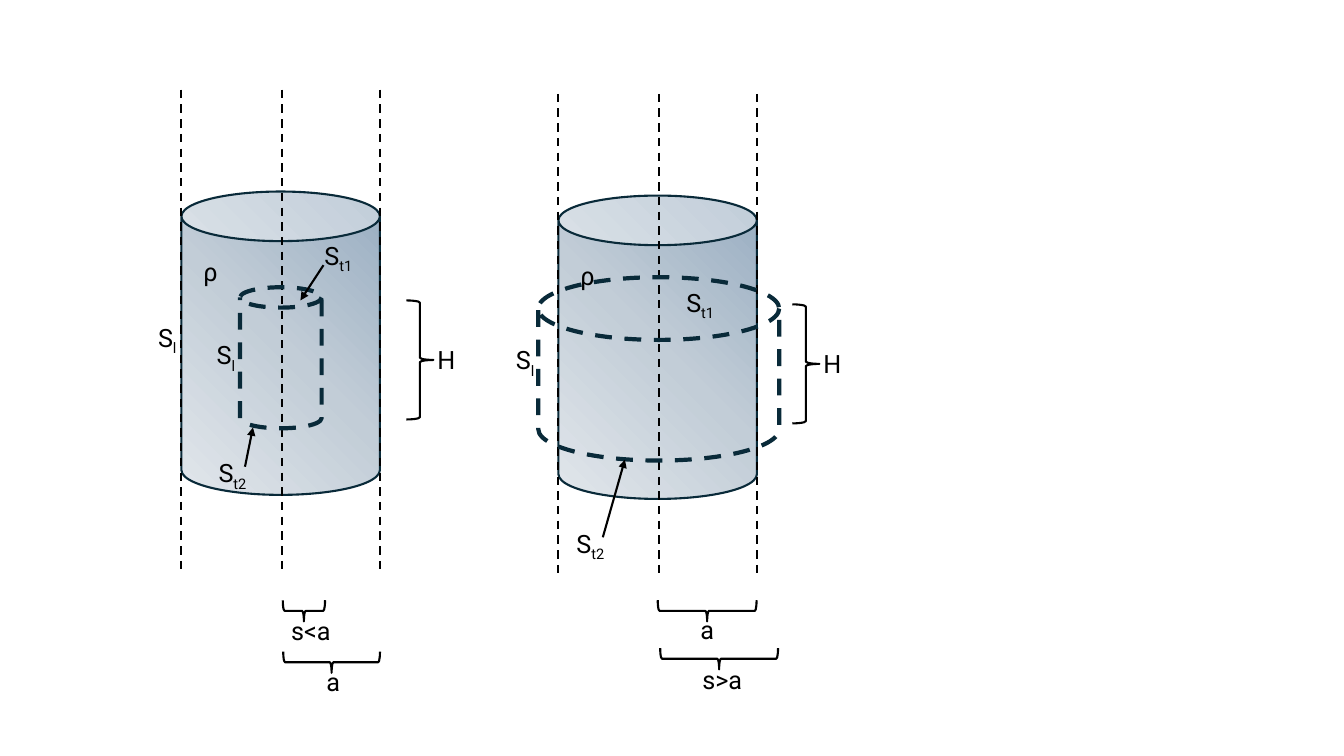
from copy import deepcopy

from lxml.etree import SubElement
from pptx import Presentation
from pptx.dml.color import RGBColor
from pptx.enum.dml import MSO_LINE
from pptx.enum.shapes import MSO_CONNECTOR, MSO_SHAPE
from pptx.enum.text import MSO_AUTO_SIZE
from pptx.oxml.ns import qn
from pptx.util import Pt

BLACK, NAVY = "000000", "092A39"
GRADIENT = [(0, "98ADC1"), (0.5, "C2CDD7"), (1, "E1E6EB")]
TEXT_FORMAT = {"name": "Roboto", "size": Pt(18)}


def color(value):
    return RGBColor.from_string(value)


def set_line(line, value, width, dashed=False):
    line.fill.solid()
    line.color.rgb = color(value)
    line.width = Pt(width)
    if dashed:
        line.dash_style = MSO_LINE.DASH


def add_outline(s, kind, x, y, w, h, value=BLACK, width=1.5, dashed=False):
    sp = s.shapes.add_shape(kind, Pt(x), Pt(y), Pt(w), Pt(h))
    sp.shadow.inherit = False
    sp.fill.background()
    set_line(sp.line, value, width, dashed)
    return sp


def add_label(s, text, x, y, w, subscript=""):
    box = s.shapes.add_textbox(Pt(x), Pt(y), Pt(w), Pt(28.8))
    tf = box.text_frame
    tf.word_wrap = True
    tf.auto_size = MSO_AUTO_SIZE.SHAPE_TO_FIT_TEXT
    p = tf.paragraphs[0]
    for part, baseline in ((text, None), (subscript, "-25000")):
        if not part:
            continue
        r = p.add_run()
        r.text = part
        for name, value in TEXT_FORMAT.items():
            setattr(r.font, name, value)
        r.font.color.rgb = color(BLACK)
        if baseline:
            r._r.get_or_add_rPr().set("baseline", baseline)


def add_line(s, x1, y1, x2, y2, dashed=False, arrow=False):
    c = s.shapes.add_connector(MSO_CONNECTOR.STRAIGHT, Pt(x1), Pt(y1), Pt(x2), Pt(y2))
    set_line(c.line, BLACK, 1.5, dashed)
    if arrow:
        SubElement(c.line._get_or_add_ln(), qn("a:tailEnd"), type="triangle")
    SubElement(c._element.spPr, qn("a:effectLst"))


def fill_gradient(sp):
    sp.fill.gradient()
    sp.fill.gradient_angle = 225
    stop_list = sp._element.spPr.find(".//" + qn("a:gsLst"))
    stop_list.append(deepcopy(stop_list[-1]))
    for stop, (position, value) in zip(sp.fill.gradient_stops, GRADIENT):
        stop.position = position
        stop.color.rgb = color(value)


def add_cylinder(s, x, y):
    """Charged cylinder with its density label, axis and side lines."""
    width = 141.8
    fill_gradient(add_outline(s, MSO_SHAPE.CAN, x, y, width, 216.7, NAVY))
    add_label(s, "ρ", x + 8.6, y + 42.5, 31.7)
    for dx in (0, width, 71.6):
        add_line(s, x + dx, y - 72.7, x + dx, y + 271.5, dashed=True)


def add_gauss_surface(s, x, y, w, h):
    return add_outline(s, MSO_SHAPE.CAN, x, y, w, h, NAVY, 3, True)


def add_height_brace(s, x, y):
    add_outline(s, MSO_SHAPE.LEFT_BRACE, x, y, 19.4, 85).rotation = 180
    add_label(s, "H", x + 15.1, y + 28.1, 31.7)


def add_radius_brace(s, cx, cy, span, depth=15.1):
    """Brace opening upwards, placed by its centre."""
    sp = add_outline(s, MSO_SHAPE.LEFT_BRACE, cx - depth / 2, cy - span / 2, depth, span)
    sp.rotation = 270


def main():
    prs = Presentation()
    prs.slide_width, prs.slide_height = Pt(960), Pt(540)
    s = prs.slides.add_slide(prs.slide_layouts[6])

    # Radii below the cylinders
    for cx, cy, span in ((236.9, 473, 69.1), (217.1, 436.3, 30.2),
                         (505.1, 436.3, 70.6), (513.7, 470.5, 84.2)):
        add_radius_brace(s, cx, cy, span)
    for text, x, y, w in (("s<a", 200.9, 436.3, 63.4), ("a", 226.1, 472.3, 31.7),
                          ("s>a", 494.6, 470.9, 63.4), ("a", 493.2, 435.6, 31.7)):
        add_label(s, text, x, y, w)

    # Surface inside the cylinder
    add_cylinder(s, 129.6, 136.8)
    add_gauss_surface(s, 171.4, 205.2, 58.3, 100.8)
    add_height_brace(s, 290.2, 214.6)

    # Surface around the cylinder
    add_cylinder(s, 398.9, 139.7)
    add_gauss_surface(s, 384.5, 198, 172.1, 131).adjustments[0] = 0.342
    add_height_brace(s, 565.9, 217.4)

    # Surface names
    for subscript, x, y in (("l", 105.8, 226.8), ("t1", 224.6, 167.8),
                            ("l", 361.4, 242.6), ("t1", 483.1, 201.6),
                            ("t2", 404.6, 373.7), ("l", 147.6, 239),
                            ("t2", 149, 323.3)):
        add_label(s, "S", x, y, 44.6, subscript)

    # Pointers to the end faces
    for ends in ((430.6, 383.8, 446.4, 328.3), (175, 333.4, 180.7, 305.3),
                 (231.1, 189.4, 214.6, 214.6)):
        add_line(s, *ends, arrow=True)

    prs.save("out.pptx")


if __name__ == "__main__":
    main()
